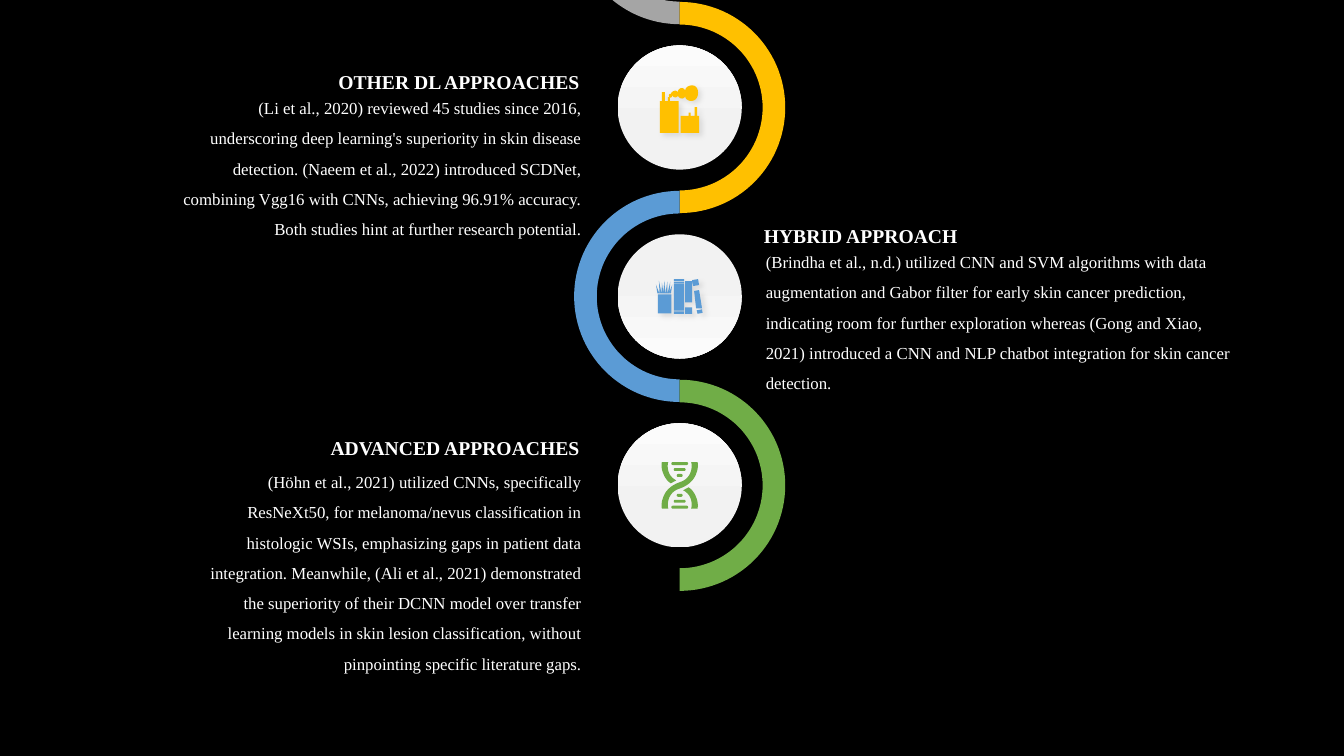
import math

import lxml.etree
import pptx
import pptx.dml.color
import pptx.enum.shapes
import pptx.enum.text
import pptx.oxml.ns
import pptx.util

Cm = pptx.util.Cm
UNIT = 0.025
MID, TOP, PITCH = 17.13, 2.71, 4.76
OUTER, INNER, DISC = 2.66, 2.09, 3.13
GREY, GOLD, BLUE, GREEN = "A5A5A5", "FFC000", "5B9BD5", "70AD47"
FONT = {"name": "Times New Roman"}
HEAD = {**FONT, "size": pptx.util.Pt(14), "bold": True}
BODY = {**FONT, "size": pptx.util.Pt(12), "bold": False}

PLANT = [
    [(-20, -6.5), (-18, -6.5), (-18, -15.5), (-15, -15.5), (-15, -6.5), (-12, -6.5),
     (-12, -10.5), (-10, -10.5), (-10, -6.5), (-1, -6.5), (-1, 25.5), (-20, 25.5)],
    [(1, 8.5), (9, 8.5), (9, 5), (11, 5), (11, 8.5), (15, 8.5), (15, -0.5),
     (17.5, -0.5), (17.5, 8.5), (19.5, 8.5), (19.5, 25.5), (1, 25.5)],
    [(-9, -13.5), (-9, -15.5, -4, -19, -2, -15.5), (-2, -19, 3.5, -22, 5.5, -17),
     (5.5, -23, 18.5, -26, 18.5, -15), (18.5, -3.5, 5.5, -5.5, 5.5, -11.5),
     (3.5, -6.5, -2, -10.5, -2, -12.5), (-2, -9.5, -6.5, -9.5, -7.5, -12.5),
     (-7.5, -9.5, -10.5, -9.5, -10.5, -10.5), (-11.5, -12.5, -10.5, -14.5, -9, -13.5)],
]
TIPS = [(-24, -12), (-21, -16), (-18, -14), (-15.5, -16), (-12.5, -15), (-9.5, -15), (-7.5, -12)]
BLOCKS = [(-22, -2, -8.5, 17), (-6, -17.5, 4.5, -15.2), (-6, -14.5, 4.5, -13.5),
          (-6, -13, 4.5, 13.2), (-6, 13.6, 4.5, 14.4), (-6, 15, 4.5, 17.5),
          (5.5, -15.5, 12.5, 6), (5.5, 11, 12.5, 17.5)]
TILTED = [
    [(19.5, -11.5), (18.5, -17.5), (12.5, -16.5), (13.5, -10.5)],
    [(19.5, -6.5), (14.5, -5.5), (16.5, 12), (22.5, 12)],
    [(22.5, 13), (17, 14), (18, 17.5), (23, 16.5)],
]
STRAND = [(-17, 13), (-15.5, 8, -11.5, 1, -0.5, -3), (13.5, -7, 12.5, -21, 11.5, -23.5),
          (18, -23.5), (18.5, -21, 18.5, -17, 17, -13), (15.5, -8, 11.5, -1, 0.5, 3),
          (-13.5, 7, -12.5, 21, -11.5, 23.5), (-18, 23.5), (-18.5, 21, -18.5, 17, -17, 13)]
BRANCH = [(-11.5, -23.5), (-18, -23.5), (-18.5, -21, -18.5, -17, -17, -13),
          (-15.5, -9, -13.5, -5, -9, -2), (-3.5, -5), (-13.5, -10, -12.5, -21, -11.5, -23.5)]
RUNGS = [(8.5, 22), (6, 16), (3, 10)]


def ink(code):
    """Turn a hex string into a colour."""
    return pptx.dml.color.RGBColor.from_string(code)


def apply(item, values):
    """Set each attribute of an item from a dict."""
    for key, value in values.items():
        setattr(item, key, value)


def paint(shape, code):
    """Give a shape a plain fill with no line or shadow."""
    shape.shadow.inherit = False
    shape.line.fill.background()
    shape.fill.solid()
    shape.fill.fore_color.rgb = ink(code)
    return shape


def shade(shape):
    """Cast a faint shadow down and to the right."""
    qn = pptx.oxml.ns.qn
    cast = lxml.etree.SubElement(
        shape.element.spPr.find(qn("a:effectLst")), qn("a:outerShdw"),
        blurRad=str(pptx.util.Pt(4)), dist=str(pptx.util.Pt(3)), dir="2700000")
    tint = lxml.etree.SubElement(cast, qn("a:srgbClr"), val="000000")
    lxml.etree.SubElement(tint, qn("a:alpha"), val="10000")


def trace(steps, count=12):
    """Turn line and curve steps into a list of points."""
    points = [steps[0]]
    for step in steps[1:]:
        if len(step) == 2:
            points.append(step)
            continue
        knots = [points[-1], step[:2], step[2:4], step[4:]]
        for i in range(1, count + 1):
            t = i / count
            parts = [(1 - t) ** 3, 3 * t * (1 - t) ** 2, 3 * t * t * (1 - t), t ** 3]
            points.append(tuple(sum(w * k[axis] for w, k in zip(parts, knots)) for axis in (0, 1)))
    return points


def outline(shapes, loops, x, y, unit, code):
    """Draw closed loops around a centre as one filled shape."""
    places = [[(Cm(x + a * unit), Cm(y + b * unit)) for a, b in loop] for loop in loops]
    pen = shapes.build_freeform(*places[0][0])
    for i, loop in enumerate(places):
        if i:
            pen.move_to(*loop[0])
        pen.add_line_segments(loop[1:], close=True)
    return paint(pen.convert_to_shape(), code)


def arc(shapes, y, side, code):
    """Draw half a ring that bulges left (-1) or right (1)."""
    turns = [math.radians(a) for a in range(-90, 91, 3)]
    rim = [(side * OUTER * math.cos(a), OUTER * math.sin(a)) for a in turns]
    rim += [(side * INNER * math.cos(a), INNER * math.sin(a)) for a in reversed(turns)]
    outline(shapes, [rim], MID, y, 1, code)


def disc(shapes, y, angle):
    """Draw the pale disc inside a ring."""
    oval = shapes.add_shape(pptx.enum.shapes.MSO_SHAPE.OVAL, Cm(MID - DISC / 2),
                            Cm(y - DISC / 2), Cm(DISC), Cm(DISC))
    paint(oval, "F2F2F2").fill.gradient()
    oval.fill.gradient_angle = angle
    for stop, place, code in zip(oval.fill.gradient_stops, (0.33, 1), ("F2F2F2", "FBFBFB")):
        stop.position = place
        stop.color.rgb = ink(code)


def plant(shapes, y):
    """Draw the smoking plant."""
    shade(outline(shapes, [trace(loop) for loop in PLANT], MID, y, UNIT, GOLD))


def shelf(shapes, y):
    """Draw the potted grass and the books."""
    loops = [[(l, t), (r, t), (r, b), (l, b)] for l, t, r, b in BLOCKS] + TILTED
    for x, top in TIPS:
        base = -15.5 + (x + 15.5) * 0.7
        loops.append([(base - 1, -3), (x, top), (base + 1, -3)])
    shade(outline(shapes, loops, MID, y, UNIT, BLUE))


def helix(shapes, y):
    """Draw the double helix as a group."""
    group = shapes.add_group_shape().shapes
    branch = trace(BRANCH)
    for loop in (trace(STRAND), branch, [(-a, -b) for a, b in branch]):
        outline(group, [loop], MID, y, UNIT, GREEN)
    for side in (-1, 1):
        for half, drop in RUNGS:
            rung = group.add_shape(
                pptx.enum.shapes.MSO_SHAPE.ROUNDED_RECTANGLE, Cm(MID - half * UNIT),
                Cm(y + (side * drop - 1.5) * UNIT), Cm(2 * half * UNIT), Cm(3 * UNIT))
            rung.adjustments[0] = 0.5
            paint(rung, GREEN)


def label(shapes, box, text, style, align, wrap, pitch):
    """Write one paragraph in a box."""
    frame = shapes.add_textbox(*[Cm(v) for v in box]).text_frame
    apply(frame, {"word_wrap": wrap, "auto_size": pptx.enum.text.MSO_AUTO_SIZE.SHAPE_TO_FIT_TEXT})
    para = frame.paragraphs[0]
    apply(para, {"alignment": align, "line_spacing": pitch})
    run = para.add_run()
    run.text = text
    apply(run.font, style)
    run.font.color.rgb = ink("FFFFFF")


def panel(shapes, box, right, wide, drop, head, text):
    """Place a heading and its text in a box, set left or right."""
    left, top, width, height = box
    align = pptx.enum.text.PP_ALIGN.RIGHT if right else pptx.enum.text.PP_ALIGN.LEFT
    start = left - 0.05 + (width - wide if right else 0)
    label(shapes, (start, top, wide, 0.86), head, HEAD, align, False, 1.0)
    label(shapes, (left, top + drop, width, height - drop), text, BODY, align, True, 1.5)


def main():
    """Build and save the slide."""
    deck = pptx.Presentation()
    apply(deck, {"slide_width": Cm(33.87), "slide_height": Cm(19.05)})
    slide = deck.slides.add_slide(deck.slide_layouts[6])
    slide.background.fill.solid()
    slide.background.fill.fore_color.rgb = ink("000000")
    shapes = slide.shapes
    for i, code in enumerate((GREY, GOLD, BLUE, GREEN)):
        arc(shapes, TOP + (i - 1) * PITCH, 1 if i % 2 else -1, code)
    for i, icon in enumerate((plant, shelf, helix)):
        disc(shapes, TOP + i * PITCH, 270 if i % 2 else 90)
        icon(shapes, TOP + i * PITCH)
    panel(shapes, (19.05, 5.51, 12.37, 4.47), False, 5.44, 0.46, "HYBRID APPROACH",
          "(Brindha et al., n.d.) utilized CNN and SVM algorithms with data augmentation and Gabor "
          "filter for early skin cancer prediction, indicating room for further exploration whereas "
          "(Gong and Xiao, 2021) introduced a CNN and NLP chatbot integration for skin cancer detection.")
    panel(shapes, (4.57, 10.85, 10.34, 6.22), True, 6.83, 0.66, "ADVANCED APPROACHES",
          "(Höhn et al., 2021) utilized CNNs, specifically ResNeXt50, for melanoma/nevus classification "
          "in histologic WSIs, emphasizing gaps in patient data integration. Meanwhile, (Ali et al., 2021) "
          "demonstrated the superiority of their DCNN model over transfer learning models in skin lesion "
          "classification, without pinpointing specific literature gaps.")
    panel(shapes, (3.99, 1.63, 10.92, 4.47), True, 6.63, 0.46, "OTHER DL APPROACHES",
          "(Li et al., 2020) reviewed 45 studies since 2016, underscoring deep learning's superiority in "
          "skin disease detection. (Naeem et al., 2022) introduced SCDNet, combining Vgg16 with CNNs, "
          "achieving 96.91% accuracy. Both studies hint at further research potential.")
    deck.save("out.pptx")


if __name__ == "__main__":
    main()
